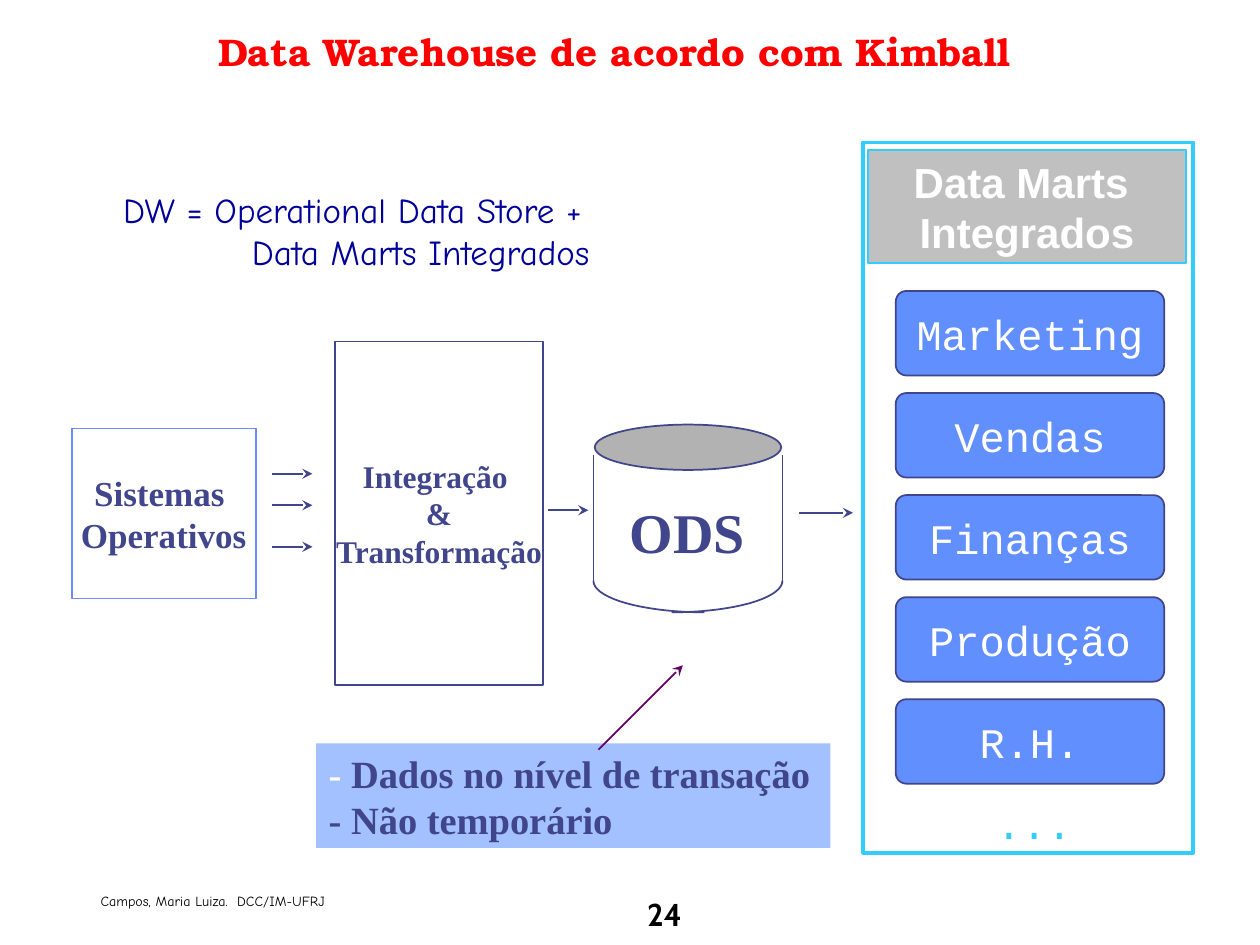
import collections
import math

import pptx
import pptx.dml.color
import pptx.enum.shapes
import pptx.enum.text
import pptx.oxml.ns
import pptx.util
from lxml import etree

Inches = pptx.util.Inches
Shape = pptx.enum.shapes.MSO_SHAPE
Align = pptx.enum.text.PP_ALIGN
Anchor = pptx.enum.text.MSO_ANCHOR
Box = collections.namedtuple("Box", "left top width height")

COLORS = {
    "black": "000000", "white": "FFFFFF", "red": "FF0000", "navy": "000099",
    "slate": "40458C", "periwinkle": "6F89F7", "blue": "618FFD", "pale": "A2C1FE",
    "cyan": "33CCFF", "silver": "C0C0C0", "gray": "B2B2B2", "purple": "660066",
}
SERIF, MONO, HAND = "Times New Roman", "Courier New", "Comic Neue"


def rgb(name):
    """Return the named colour."""
    return pptx.dml.color.RGBColor.from_string(COLORS[name])


def inside(box, left, top, width, height):
    """Return a box offset from the corner of another box."""
    return Box(box.left + left, box.top + top, width, height)


def write_text(shape, lines, size, font, color, bold=False, align=Align.LEFT,
               anchor=Anchor.TOP, margins=(0.1, 0.05), wrap=True, spacing=None, indents=()):
    """Write lines into a shape; a line is a string or a list of (text, colour) spans."""
    frame = shape.text_frame
    frame.auto_size = pptx.enum.text.MSO_AUTO_SIZE.NONE
    frame.word_wrap = wrap
    frame.vertical_anchor = anchor
    frame.margin_left = frame.margin_right = Inches(margins[0])
    frame.margin_top = frame.margin_bottom = Inches(margins[1])
    for index, line in enumerate(lines):
        para = frame.paragraphs[0] if index == 0 else frame.add_paragraph()
        para.alignment = align
        para.line_spacing = spacing
        if index < len(indents):
            properties = para._p.get_or_add_pPr()
            properties.set("marL", str(Inches(indents[index])))
            properties.set("indent", "0")
        for text, tint in [(line, color)] if isinstance(line, str) else line:
            span = para.add_run()
            span.text = text
            span.font.size = pptx.util.Pt(size)
            span.font.name = font
            span.font.bold = bold
            span.font.color.rgb = rgb(tint)


def add_label(page, box, lines, **style):
    """Add a text box."""
    write_text(page.shapes.add_textbox(*map(Inches, box)), lines, **style)


def paint(shape, fill=None, line=None, weight=1):
    """Set the fill and outline of a shape and drop its shadow."""
    shape.shadow.inherit = False
    if fill:
        shape.fill.solid()
        shape.fill.fore_color.rgb = rgb(fill)
    else:
        shape.fill.background()
    if line:
        shape.line.color.rgb = rgb(line)
        shape.line.width = pptx.util.Pt(weight)
    else:
        shape.line.fill.background()


def add_block(page, kind, box, fill=None, line=None, weight=1):
    """Add a preset shape."""
    shape = page.shapes.add_shape(kind, *map(Inches, box))
    paint(shape, fill, line, weight)
    return shape


def add_line(page, start, end, color="slate", arrow=True):
    """Add a straight line, with an arrowhead at its end if wanted."""
    line = page.shapes.add_connector(
        pptx.enum.shapes.MSO_CONNECTOR.STRAIGHT, *map(Inches, (*start, *end)))
    line.line.color.rgb = rgb(color)
    line.line.width = pptx.util.Pt(1)
    if arrow:
        tail = etree.SubElement(line.line._get_or_add_ln(), pptx.oxml.ns.qn("a:tailEnd"))
        tail.set("type", "stealth")
    etree.SubElement(line._element.spPr, pptx.oxml.ns.qn("a:effectLst"))


def add_title(page, box):
    """Place the slide title."""
    title = page.shapes.title
    title.left, title.top, title.width, title.height = map(Inches, box)
    write_text(title, ["Data Warehouse de acordo com Kimball"], size=22, font="TeX Gyre Bonum",
               color="red", bold=True, align=Align.CENTER, anchor=Anchor.MIDDLE)


def add_formula(page, box):
    """Place the definition of the warehouse."""
    add_label(page, box, ["DW = Operational Data Store +", "Data Marts Integrados"],
              size=20, font=HAND, color="navy", indents=(0, 1.02))


def add_stage(page, box, lines, size, line):
    """Place one stage of the data flow."""
    stage = add_block(page, Shape.RECTANGLE, box, "white", line)
    write_text(stage, lines, size=size, font=SERIF, color="slate", bold=True, align=Align.CENTER,
               anchor=Anchor.MIDDLE, margins=(0.06, 0.03), wrap=False)


def add_arrows(page, box, offsets):
    """Place rightward arrows across the box at the given heights."""
    for offset in offsets:
        y = box.top + offset
        add_line(page, (box.left, y), (box.left + box.width, y))


def add_store(page, box):
    """Place the operational data store as a cylinder."""
    add_label(page, inside(box, 0.23, 0.55, 1.04, 0.6), ["ODS"], size=32, font=SERIF,
              color="slate", bold=True, margins=(0.06, 0.03), wrap=False)
    shoulder, base, radius, drop = box.top + 0.24, box.top + 1.24, 0.88, 0.25
    for x, inward in ((box.left, 1), (box.left + box.width, -1)):
        add_line(page, (x, shoulder), (x, base), arrow=False)
        angles = [math.radians(step * 5) for step in range(19)]
        points = [(Inches(x + inward * radius * (1 - math.cos(angle))),
                   Inches(base + drop * math.sin(angle))) for angle in angles]
        builder = page.shapes.build_freeform(*points[0])
        builder.add_line_segments(points[1:], close=False)
        paint(builder.convert_to_shape(), line="slate")
    add_block(page, Shape.OVAL, inside(box, 0.01, 0, 1.48, 0.36), "gray", "slate")


def add_note(page, box):
    """Place the note on the store and the arrow that leads to it."""
    note = add_block(page, Shape.RECTANGLE, box, "pale")
    write_text(note, [[("- ", "white"), ("Dados no nível de transação", "slate")],
                      "- Não temporário"], size=22, font=SERIF, color="slate", bold=True)
    start = (box.left + 2.24, box.top + 0.05)
    add_line(page, start, (start[0] + 0.67, start[1] - 0.67), "purple")


def add_marts(page, box, marts):
    """Place the panel of integrated data marts."""
    add_block(page, Shape.RECTANGLE, box, line="cyan", weight=2)
    header = add_block(page, Shape.RECTANGLE, inside(box, 0.04, 0.06, 2.52, 0.9), "silver", "cyan")
    write_text(header, ["Data Marts ", "Integrados"], size=24, font="Arial", color="white",
               bold=True, align=Align.CENTER)
    for index, name in enumerate(marts):
        place = inside(box, 0.26, 1.18 + 0.81 * index, 2.13, 0.67)
        mart = add_block(page, Shape.ROUNDED_RECTANGLE, place, "blue", "slate")
        mart.adjustments[0] = 0.125
        write_text(mart, [name], size=24, font=MONO, color="white", align=Align.CENTER,
                   anchor=Anchor.MIDDLE, wrap=False)
    add_label(page, inside(box, 0.46, 5.15, 1.3, 0.5), ["..."], size=24, font=MONO,
              color="cyan", indents=(0.5,))


def add_footer(page, box):
    """Place the credit and the page number."""
    add_label(page, inside(box, 0, 0, 2.56, 0.26), ["Campos, Maria Luiza.  DCC/IM-UFRJ"],
              size=8, font=HAND, color="black", spacing=1.2)
    add_label(page, inside(box, 3.81, 0.1, 1.53, 0.34), ["24"], size=18, font="Cabin",
              color="black", bold=True, align=Align.CENTER, anchor=Anchor.BOTTOM)


def main():
    """Build and save the deck."""
    deck = pptx.Presentation()
    deck.slide_width, deck.slide_height = Inches(10), Inches(7.5)
    page = deck.slides.add_slide(deck.slide_layouts[5])
    add_title(page, Box(0, 0, 9.75, 0.81))
    add_formula(page, Box(0.88, 1.45, 3.97, 0.77))
    add_stage(page, Box(0.57, 3.4, 1.46, 1.35), ["Sistemas ", "Operativos"], 20, "periwinkle")
    add_arrows(page, Box(2.16, 3.76, 0.32, 0.58), (0, 0.25, 0.58))
    add_stage(page, Box(2.66, 2.71, 1.65, 2.73), ["Integração ", "&", "Transformação"], 18, "slate")
    add_arrows(page, Box(4.35, 4.05, 0.32, 0), (0,))
    add_store(page, Box(4.71, 3.37, 1.5, 1.49))
    add_note(page, Box(2.51, 5.9, 4.08, 0.83))
    add_arrows(page, Box(6.34, 4.07, 0.43, 0), (0,))
    add_marts(page, Box(6.85, 1.13, 2.62, 5.64),
              ["Marketing", "Vendas", "Finanças", "Produção", "R.H."])
    add_footer(page, Box(0.7, 7.01, 5.34, 0.44))
    deck.save("out.pptx")


if __name__ == "__main__":
    main()
